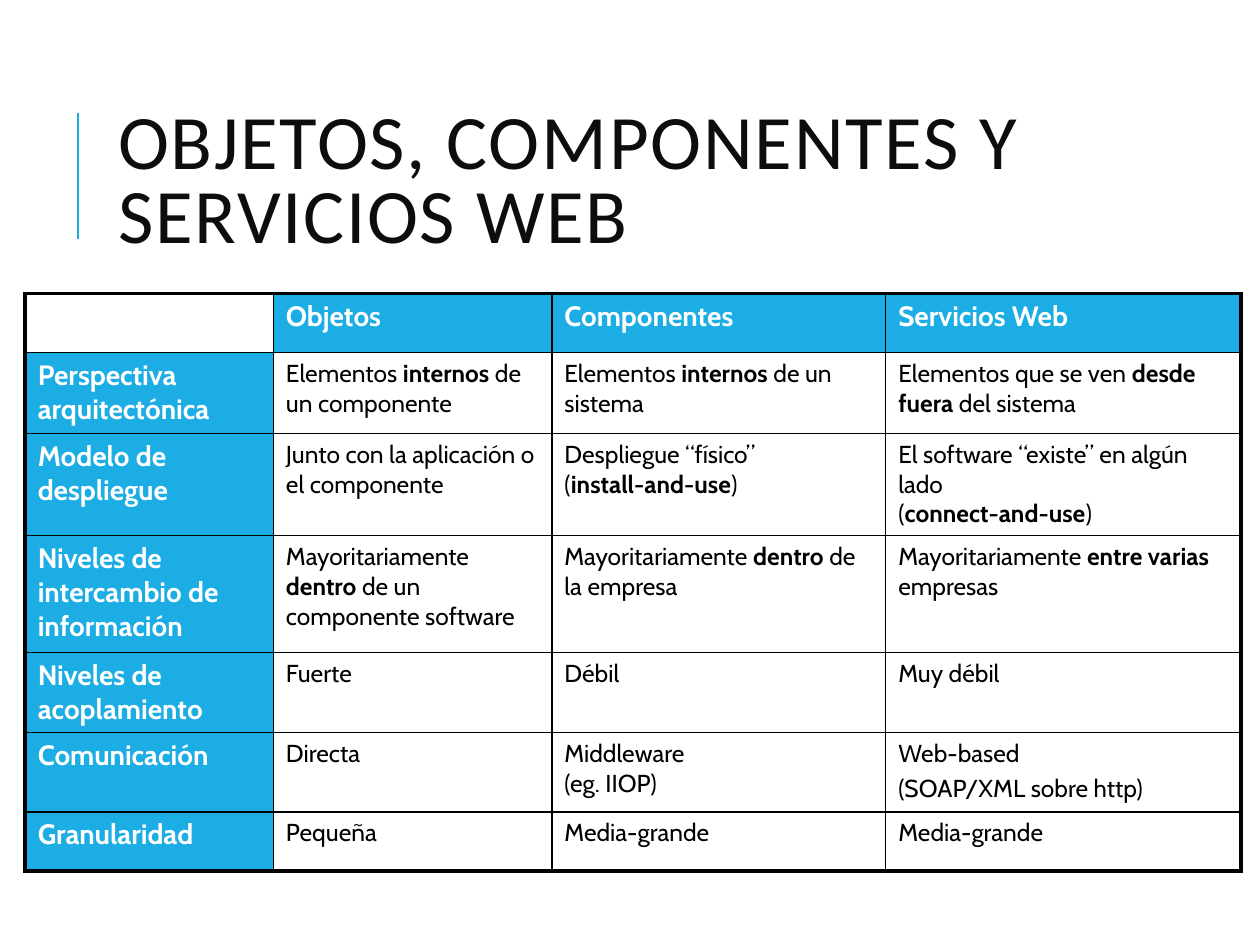
from dataclasses import dataclass
from lxml.etree import SubElement
from pptx import Presentation
from pptx.dml.color import RGBColor
from pptx.enum.shapes import MSO_CONNECTOR
from pptx.enum.text import MSO_ANCHOR
from pptx.oxml.ns import qn
from pptx.util import Inches, Pt


@dataclass(frozen=True)
class Theme:
    accent: str = "1CADE4"
    title: str = "0D0D0D"
    black: str = "000000"
    white: str = "FFFFFF"
    title_font: str = "Calibri"
    table_font: str = "Cabin"
    title_size: int = 44
    header_size: int = 16
    body_size: int = 14
    outer_line: float = 2.25
    inner_line: float = 1


theme = Theme()


def style_run(r, font, size, color, bold=False):
    r.font.name = font
    r.font.size = Pt(size)
    r.font.color.rgb = RGBColor.from_string(color)
    r.font.bold = bold


def add_border(cell, side, width):
    ln = SubElement(cell._tc.get_or_add_tcPr(), qn(f"a:ln{side}"), w=str(Pt(width)))
    fill = SubElement(ln, qn("a:solidFill"))
    SubElement(fill, qn("a:srgbClr"), val=theme.black)


prs = Presentation()
prs.slide_width, prs.slide_height = Inches(10), Inches(7.5)
s = prs.slides.add_slide(prs.slide_layouts[6])

rule = s.shapes.add_connector(
    MSO_CONNECTOR.STRAIGHT, Inches(0.62), Inches(1.9), Inches(0.62), Inches(0.9)
)
rule.line.color.rgb = RGBColor.from_string(theme.accent)
rule.line.width = Pt(1.5)
SubElement(rule._element.spPr, qn("a:effectLst"))

title = s.shapes.add_textbox(Inches(0.84), Inches(0.64), Inches(7.97), Inches(1.64))
tf = title.text_frame
tf.word_wrap = True
tf.vertical_anchor = MSO_ANCHOR.MIDDLE
tf.text = "OBJETOS, COMPONENTES Y SERVICIOS WEB"
p = tf.paragraphs[0]
p.line_spacing = 0.8
style_run(p.runs[0], theme.title_font, theme.title_size, theme.title)
p.runs[0].font._element.set("spc", "100")

# In the cells, * toggles bold, \v breaks a line and \n starts a paragraph.
rows = [
    ["", "Objetos", "Componentes", "Servicios Web"],
    ["Perspectiva arquitectónica", "Elementos *internos* de un componente",
     "Elementos *internos* de un sistema", "Elementos que se ven *desde fuera* del sistema"],
    ["Modelo de despliegue", "Junto con la aplicación o el componente",
     "Despliegue “físico”\v(*install-and-use*)",
     "El software “existe” en algún lado \v(*connect-and-use*)"],
    ["Niveles de intercambio de información",
     "Mayoritariamente *dentro* de un componente software",
     "Mayoritariamente *dentro* de la empresa", "Mayoritariamente *entre varias* empresas"],
    ["Niveles de acoplamiento", "Fuerte", "Débil", "Muy débil"],
    ["Comunicación", "Directa", "Middleware \v(eg. IIOP)", "Web-based\n(SOAP/XML sobre http)"],
    ["Granularidad", "Pequeña", "Media-grande", "Media-grande"],
]
col_widths = [1.97, 2.21, 2.65, 2.82]
row_heights = [0.47, 0.64, 0.81, 0.93, 0.63, 0.63, 0.47]
last_row, last_col = len(rows) - 1, len(col_widths) - 1

table = s.shapes.add_table(
    len(rows), len(col_widths), Inches(0.2), Inches(2.33),
    Inches(sum(col_widths)), Inches(sum(row_heights)),
).table
table.first_row = table.horz_banding = False
for column, width in zip(table.columns, col_widths):
    column.width = Inches(width)
for row, height in zip(table.rows, row_heights):
    row.height = Inches(height)

for i, texts in enumerate(rows):
    for j, text in enumerate(texts):
        cell = table.cell(i, j)
        header = i == 0 or j == 0
        size = theme.header_size if header else theme.body_size
        color = theme.white if header else theme.black
        edges = {"L": j == 0, "R": j == last_col, "T": i == 0, "B": i == last_row}
        for side, outer in edges.items():
            add_border(cell, side, theme.outer_line if outer else theme.inner_line)
        if header and text:
            cell.fill.solid()
            cell.fill.fore_color.rgb = RGBColor.from_string(theme.accent)
        else:
            cell.fill.background()
        if not text:
            continue
        tf = cell.text_frame
        tf.text = text.split("\n")[0]
        for extra in text.split("\n")[1:]:
            tf.add_paragraph().text = extra
        for p in tf.paragraphs:
            parts = p.text.split("*")
            p.clear()
            before = SubElement(p._p.get_or_add_pPr(), qn("a:spcBef"))
            SubElement(before, qn("a:spcPct"), val="20000")
            for k, part in enumerate(parts):
                for n, line in enumerate(part.split("\v")):
                    if n:
                        p.add_line_break()
                    if line:
                        r = p.add_run()
                        r.text = line
                        style_run(r, theme.table_font, size, color, header or k % 2 == 1)

prs.save("out.pptx")
